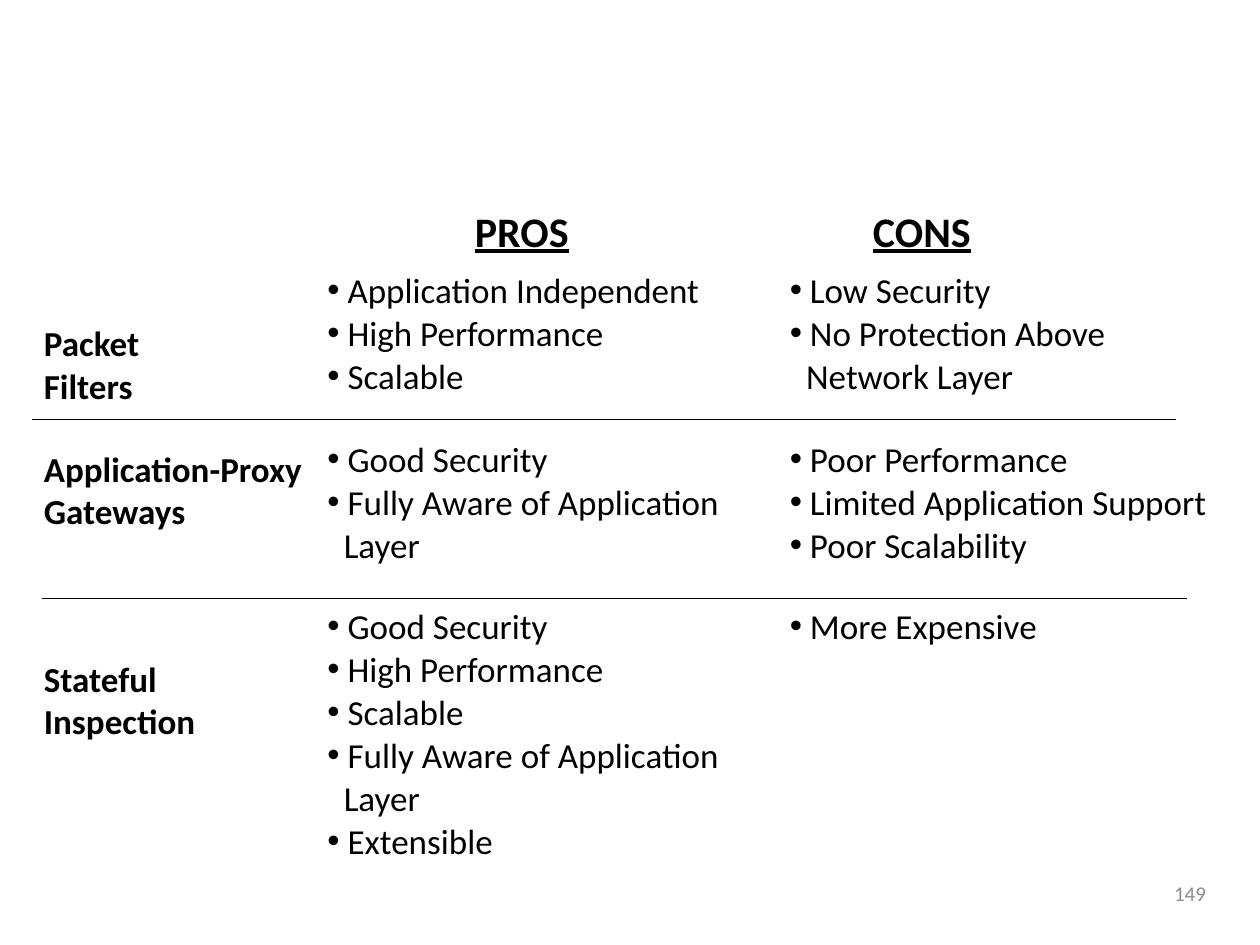
"""Build a slide comparing the pros and cons of three firewall types."""
from lxml.etree import SubElement
from pptx import Presentation
from pptx.dml.color import RGBColor
from pptx.enum.shapes import MSO_CONNECTOR
from pptx.enum.text import MSO_ANCHOR, PP_ALIGN
from pptx.oxml.ns import qn
from pptx.util import Inches, Pt

THEME = {
    "font": "Calibri",
    "bullet_font": "Arial",
    "text": RGBColor(0, 0, 0),
    "muted": RGBColor(0x8C, 0x8C, 0x8C),
    "heading": 24,
    "body": 20,
    "number": 12,
    "space": 0.6,
    "rule": 0.75,
}
BULLET_INDENT = 0.16
CONTINUATION_INDENT = 0.13
LINE_HEIGHT = 0.35
PADDING = 0.1

HEADINGS = [("PROS", 3.67), ("CONS", 6.83)]
COLUMNS = {"pros": (2.5, 4.08), "cons": (6.17, 3.83)}
ROWS = [
    {
        "top": 2.08,
        "label": ["Packet", "Filters"],
        "label_box": (0.25, 2.5, 1.75, 0.78),
        "pros": [("Application Independent",), ("High Performance",), ("Scalable",)],
        "cons": [("Low Security",), ("No Protection Above", "Network Layer")],
    },
    {
        "top": 3.42,
        "label": ["Application-Proxy Gateways"],
        "label_box": (0.25, 3.5, 2.33, 1.11),
        "pros": [("Good Security",), ("Fully Aware of Application", "Layer")],
        "cons": [("Poor Performance",), ("Limited Application Support",), ("Poor Scalability",)],
    },
    {
        "top": 4.75,
        "label": ["Stateful Inspection"],
        "label_box": (0.25, 5.17, 2.24, 0.76),
        "pros": [
            ("Good Security",),
            ("High Performance",),
            ("Scalable",),
            ("Fully Aware of Application", "Layer"),
            ("Extensible",),
        ],
        "cons": [("More Expensive",)],
    },
]
RULES = [(0.25, 9.33, 3.33), (0.33, 9.42, 4.75)]
PAGE_NUMBER = "149"


def add_text(slide, box, lines, size, color=THEME["text"], bold=False, underline=False):
    """Add a wrapped text box with one paragraph per line and return it."""
    shape = slide.shapes.add_textbox(*map(Inches, box))
    frame = shape.text_frame
    frame.word_wrap = True
    frame.text = "\n".join(lines)
    for index, paragraph in enumerate(frame.paragraphs):
        if index:
            paragraph.space_before = Pt(THEME["space"])
        for run in paragraph.runs:
            run.font.name = THEME["font"]
            run.font.size = Pt(size)
            run.font.bold = bold
            run.font.underline = underline
            run.font.color.rgb = color
    return shape


def indent(paragraph, is_first_line):
    """Give a first line its bullet and a continuation line its margin."""
    properties = paragraph._p.get_or_add_pPr()
    margin = BULLET_INDENT if is_first_line else CONTINUATION_INDENT
    properties.set("marL", str(Inches(margin)))
    properties.set("indent", str(-Inches(margin) if is_first_line else 0))
    if is_first_line:
        SubElement(properties, qn("a:buFont")).set("typeface", THEME["bullet_font"])
        SubElement(properties, qn("a:buChar")).set("char", "•")


def add_bullets(slide, left, top, width, items):
    """Add a bulleted list whose items are tuples of lines."""
    lines = [line for item in items for line in item]
    first_lines = [index == 0 for item in items for index in range(len(item))]
    box = (left, top, width, PADDING + LINE_HEIGHT * len(lines))
    shape = add_text(slide, box, lines, THEME["body"])
    for paragraph, is_first_line in zip(shape.text_frame.paragraphs, first_lines):
        indent(paragraph, is_first_line)


def add_rule(slide, start, end, top):
    """Add a thin horizontal line."""
    connector = slide.shapes.add_connector(
        MSO_CONNECTOR.STRAIGHT, Inches(start), Inches(top), Inches(end), Inches(top)
    )
    connector.line.color.rgb = THEME["text"]
    connector.line.width = Pt(THEME["rule"])
    SubElement(connector._element.spPr, qn("a:effectLst"))


def main():
    """Assemble and save the slide."""
    presentation = Presentation()
    presentation.slide_width, presentation.slide_height = Inches(10), Inches(7.5)
    slide = presentation.slides.add_slide(presentation.slide_layouts[6])

    number = add_text(
        slide, (7.17, 6.83, 2.5, 0.52), [PAGE_NUMBER], THEME["number"], THEME["muted"]
    )
    number.text_frame.vertical_anchor = MSO_ANCHOR.MIDDLE
    number.text_frame.paragraphs[0].alignment = PP_ALIGN.RIGHT

    for heading, left in HEADINGS:
        box = (left, 1.58, 1.25, 0.5)
        add_text(slide, box, [heading], THEME["heading"], bold=True, underline=True)
    for row in ROWS:
        add_text(slide, row["label_box"], row["label"], THEME["body"], bold=True)
        for column, (left, width) in COLUMNS.items():
            add_bullets(slide, left, row["top"], width, row[column])
    for rule in RULES:
        add_rule(slide, *rule)

    presentation.save("out.pptx")


if __name__ == "__main__":
    main()
